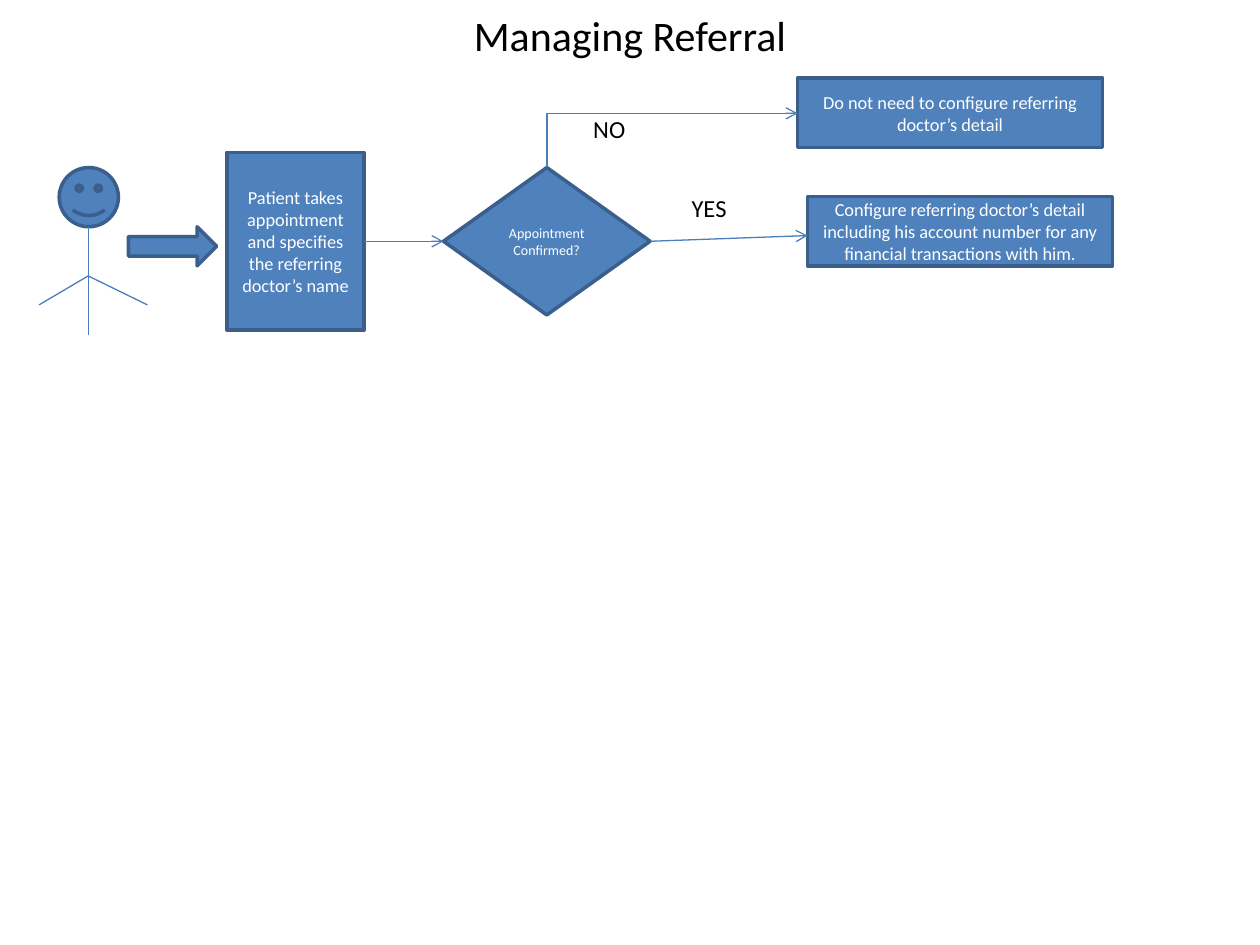
"""Build the Managing Referral flowchart slide."""
from lxml.etree import SubElement
from pptx import Presentation
from pptx.dml.color import RGBColor
from pptx.enum.shapes import MSO_CONNECTOR, MSO_SHAPE
from pptx.enum.text import MSO_ANCHOR, PP_ALIGN
from pptx.oxml.ns import qn
from pptx.util import Inches, Pt

BLUE = RGBColor(0x4F, 0x81, 0xBD)
OUTLINE = RGBColor(0x3A, 0x5F, 0x8C)
LINE = RGBColor(0x4B, 0x7E, 0xBC)
BLACK = RGBColor(0, 0, 0)
WHITE = RGBColor(0xFF, 0xFF, 0xFF)


def add_block(shapes, kind, box, text="", size=10.5):
    block = shapes.add_shape(kind, *map(Inches, box))
    block.shadow.inherit = False
    block.fill.solid()
    block.fill.fore_color.rgb = BLUE
    block.line.color.rgb = OUTLINE
    block.line.width = Pt(2)
    if text:
        block.text_frame.vertical_anchor = MSO_ANCHOR.MIDDLE
        paragraph = block.text_frame.paragraphs[0]
        paragraph.alignment = PP_ALIGN.CENTER
        run = paragraph.add_run()
        run.text = text
        run.font.name = "Calibri"
        run.font.size = Pt(size)
        run.font.color.rgb = WHITE
    return block


def add_line(shapes, kind, ends, arrow=False):
    line = shapes.add_connector(kind, *map(Inches, ends))
    line.line.color.rgb = LINE
    line.line.width = Pt(0.75)
    if arrow:
        SubElement(line.line._get_or_add_ln(), qn("a:tailEnd"), type="arrow")
    SubElement(line._element.spPr, qn("a:effectLst"))
    return line


presentation = Presentation()
presentation.slide_width = Inches(10)
presentation.slide_height = Inches(7.5)
slide = presentation.slides.add_slide(presentation.slide_layouts[5])
shapes = slide.shapes

heading = shapes.title
heading.left, heading.top, heading.width, heading.height = map(Inches, (0.5, 0, 9, 0.55))
heading.text_frame.vertical_anchor = MSO_ANCHOR.MIDDLE
heading_line = heading.text_frame.paragraphs[0]
heading_line.alignment = PP_ALIGN.CENTER
heading_run = heading_line.add_run()
heading_run.text = "Managing Referral"
heading_run.font.name = "Calibri"
heading_run.font.size = Pt(24)
heading_run.font.color.rgb = BLACK

for answer, left, top in [("NO", 4.61, 0.86), ("YES", 5.39, 1.48)]:
    label = shapes.add_textbox(Inches(left), Inches(top), Inches(0.55), Inches(0.34))
    label.text_frame.word_wrap = True
    run = label.text_frame.paragraphs[0].add_run()
    run.text = answer
    run.font.name = "Calibri"
    run.font.size = Pt(14)
    run.font.color.rgb = BLACK

patient = shapes.add_group_shape().shapes
add_block(patient, MSO_SHAPE.SMILEY_FACE, (0.47, 1.33, 0.47, 0.47))
for limb in [(0.7, 1.8, 0.7, 2.66), (0.7, 2.19, 0.31, 2.42), (0.7, 2.19, 1.17, 2.42)]:
    add_line(patient, MSO_CONNECTOR.STRAIGHT, limb)

add_block(shapes, MSO_SHAPE.RIGHT_ARROW, (1.02, 1.8, 0.7, 0.31))
appointment = add_block(
    shapes, MSO_SHAPE.FLOWCHART_PROCESS, (1.8, 1.21, 1.09, 1.41),
    "Patient takes appointment and specifies the referring doctor’s name")
confirmed = add_block(
    shapes, MSO_SHAPE.FLOWCHART_DECISION, (3.52, 1.33, 1.64, 1.17),
    "Appointment Confirmed?", 8)
add_block(
    shapes, MSO_SHAPE.FLOWCHART_PROCESS, (6.33, 0.62, 2.42, 0.55),
    "Do not need to configure referring doctor’s detail")
add_block(
    shapes, MSO_SHAPE.FLOWCHART_PROCESS, (6.41, 1.56, 2.42, 0.55),
    "Configure referring doctor’s detail including his account number "
    "for any financial transactions with him.")

to_decision = add_line(shapes, MSO_CONNECTOR.STRAIGHT, (2.89, 1.91, 3.52, 1.91), True)
to_decision.begin_connect(appointment, 3)
to_decision.end_connect(confirmed, 1)
yes_branch = add_line(shapes, MSO_CONNECTOR.STRAIGHT, (5.16, 1.91, 6.41, 1.87), True)
yes_branch.begin_connect(confirmed, 3)
no_branch = add_line(shapes, MSO_CONNECTOR.ELBOW, (5.55, 2.11, 5.12, 0.12), True)
no_branch._element.spPr.find(qn("a:xfrm")).set("rot", "5400000")
no_branch._element.spPr.find(qn("a:prstGeom")).set("prst", "bentConnector2")

presentation.save("out.pptx")
